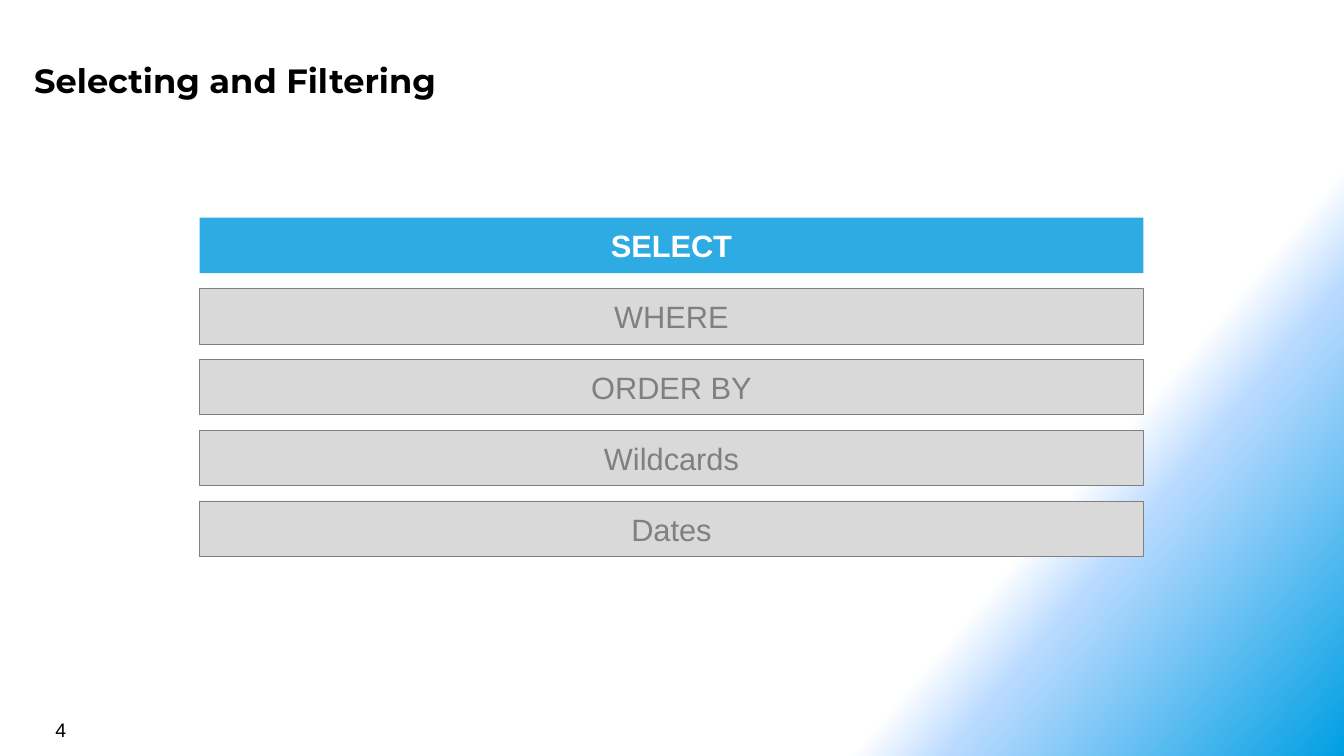
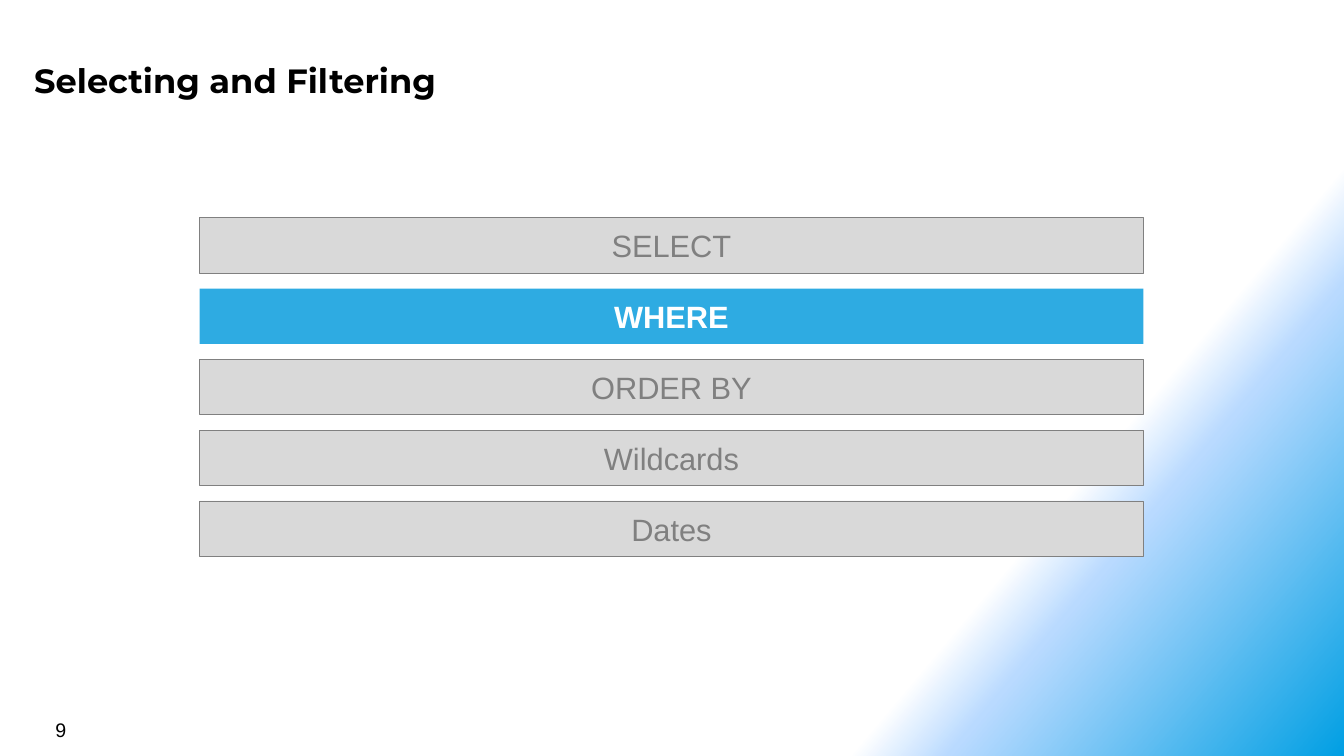
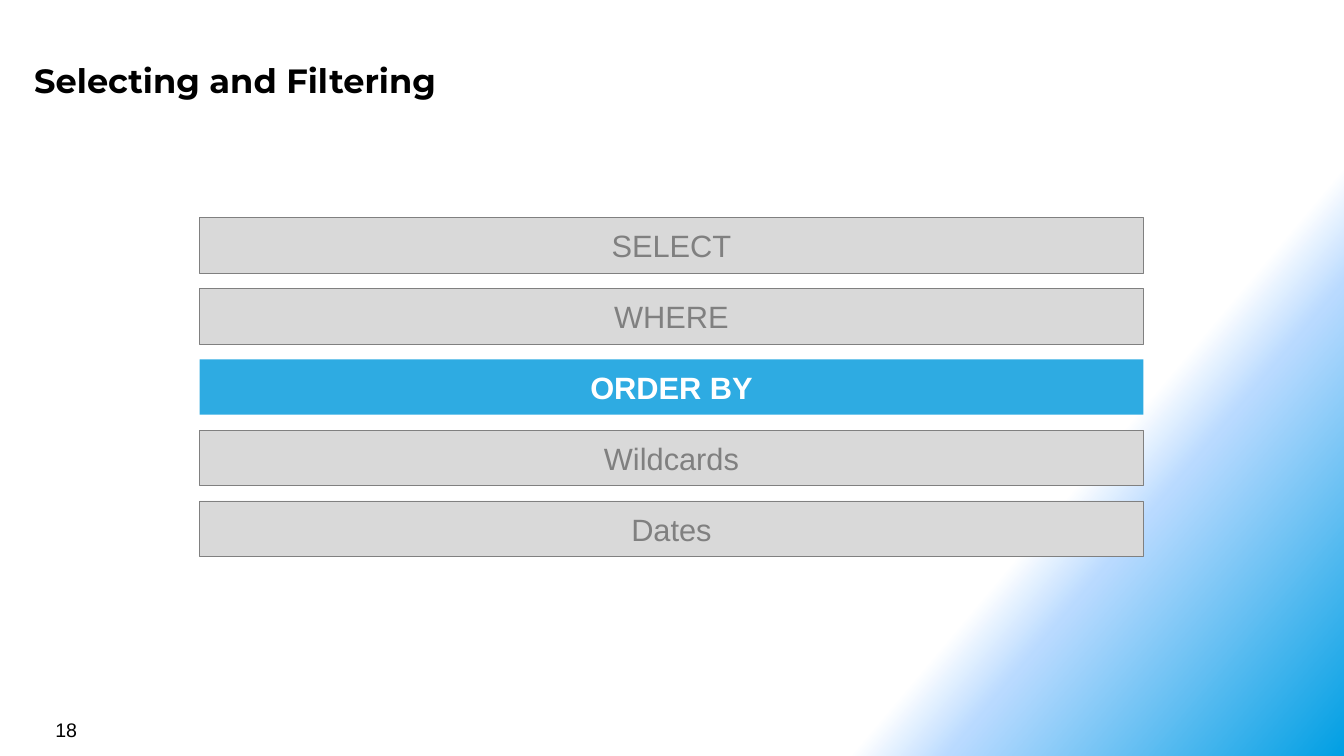
"""Build three agenda slides that step through the parts of a SQL lesson."""
from lxml.etree import SubElement as Sub
from pptx import Presentation
from pptx.dml.color import RGBColor as RGB
from pptx.enum.shapes import MSO_SHAPE as Shape
from pptx.enum.text import MSO_ANCHOR as Anchor, PP_ALIGN as Align
from pptx.oxml.ns import qn
from pptx.util import Inches, Pt

HUES = {"ink": "000000", "white": "FFFFFF", "pale": "B9DAFF", "deep": "009FE3",
        "live": "2EABE2", "idle": "D9D9D9", "grey": "808080"}
TITLE = "Selecting and Filtering"
PARTS = ["SELECT", "WHERE", "ORDER BY", "Wildcards", "Dates"]
PAGES = [(4, "SELECT"), (9, "WHERE"), (18, "ORDER BY")]
STOPS = [(75, "white", 100), (80, "pale", 50), (100, "deep", 100)]

LEFT, WIDE, HIGH = Inches(1.98), Inches(9.36), Inches(0.55)
TOP, LAST = Inches(2.16), Inches(4.97)
STEP = (LAST - TOP) // (len(PARTS) - 1)


def style(shape, text, size, hue, face="Arial", bold=False):
    frame = shape.text_frame
    frame.word_wrap = True
    frame.text = text
    font = frame.paragraphs[0].runs[0].font
    font.name, font.size, font.bold = face, Pt(size), bold
    font.color.rgb = RGB.from_string(HUES[hue])
    return frame


deck = Presentation()
deck.slide_width, deck.slide_height = Inches(13.33), Inches(7.5)
blank = deck.slide_layouts[6]

fill = deck.slide_master.background.fill
fill.gradient()
fill.gradient_angle = 320
stops = next(deck.slide_master.element.iter(qn("a:gsLst")))
stops[:] = []
for place, hue, alpha in STOPS:
    stop = Sub(stops, qn("a:gs"), pos=str(place * 1000))
    color = Sub(stop, qn("a:srgbClr"), val=HUES[hue])
    if alpha < 100:
        Sub(color, qn("a:alpha"), val=str(alpha * 1000))

for page, topic in PAGES:
    slide = deck.slides.add_slide(blank)
    shapes = slide.shapes

    title = shapes.add_textbox(Inches(0.26), Inches(0.51), Inches(12.26), HIGH)
    frame = style(title, TITLE, 24, "ink", "Montserrat", True)
    frame.margin_left = frame.margin_right = Inches(0.08)
    frame.margin_top = frame.margin_bottom = Inches(0.08)

    for row, part in enumerate(PARTS):
        live = part == topic
        bar = shapes.add_shape(Shape.RECTANGLE, LEFT, TOP + row * STEP, WIDE, HIGH)
        bar.shadow.inherit = False
        bar.fill.solid()
        bar.fill.fore_color.rgb = RGB.from_string(HUES["live" if live else "idle"])
        if live:
            bar.line.fill.background()
        else:
            bar.line.color.rgb = RGB.from_string(HUES["grey"])
            bar.line.width = Pt(0.5)
        frame = style(bar, part, 22, "white" if live else "grey", bold=live)
        frame.vertical_anchor = Anchor.MIDDLE
        frame.paragraphs[0].alignment = Align.CENTER
        frame.margin_left = frame.margin_right = 0
        frame.margin_top = frame.margin_bottom = 0

    foot = shapes.add_textbox(Inches(0.45), Inches(7.07), Inches(3.11), Inches(0.33))
    style(foot, str(page), 14, "ink")

deck.save("out.pptx")
